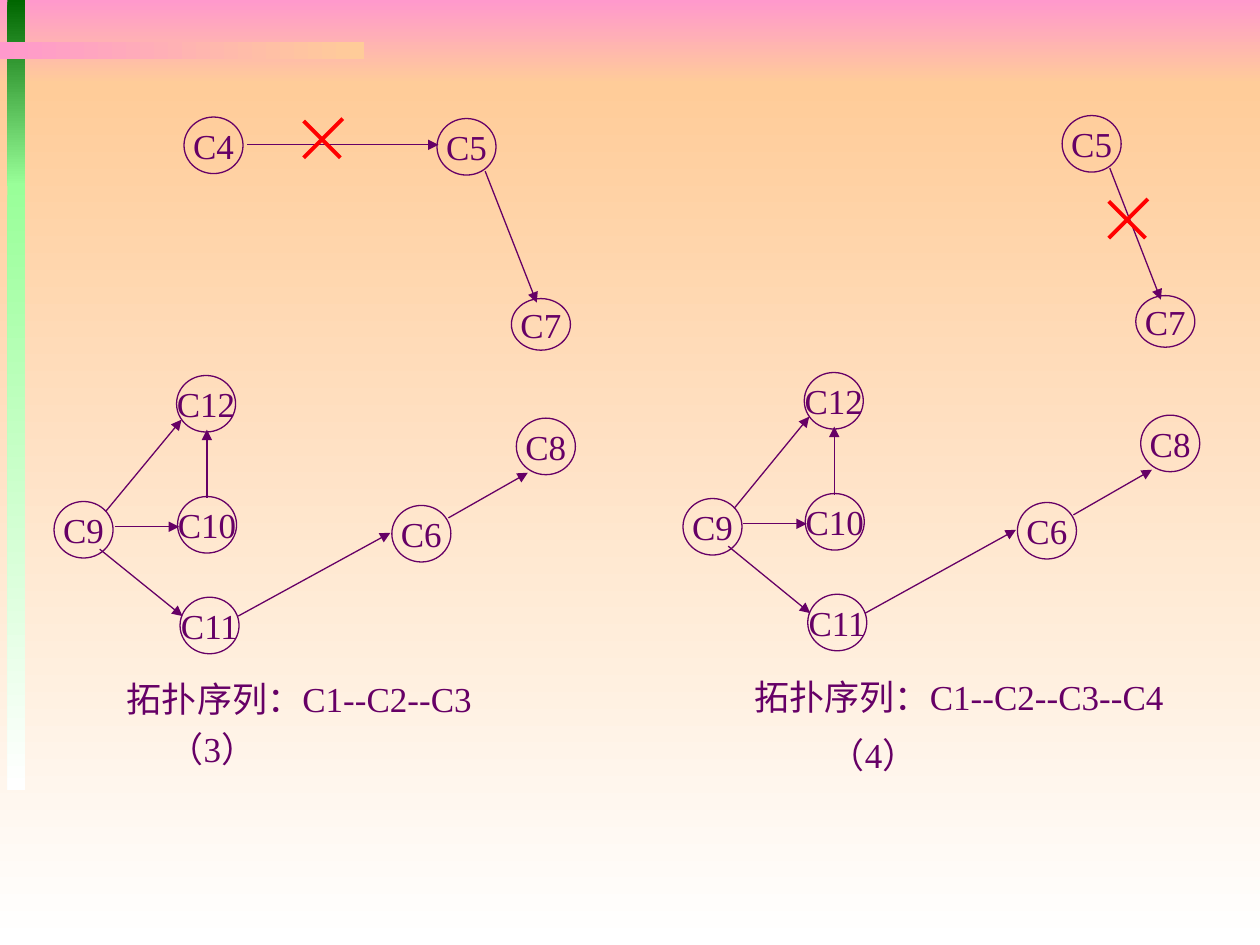
from pptx import Presentation
from pptx.dml.color import RGBColor
from pptx.enum.shapes import MSO_CONNECTOR, MSO_SHAPE
from pptx.enum.text import MSO_ANCHOR, MSO_AUTO_SIZE, PP_ALIGN
from pptx.oxml.xmlchemy import OxmlElement
from pptx.util import Cm, Pt

INK, RED = "660066", "FF0000"
PINK, PEACH, WHITE = "FF99CC", "FFCC99", "FFFFFF"
GREEN, LIME = "006600", "99FF99"

# Nodes: left, top in cm, on the left half
NODES = {
    "C4": (3.71, 2.36), "C5": (8.81, 2.39), "C6": (7.9, 10.19),
    "C7": (10.31, 6.02), "C8": (10.41, 8.43), "C9": (1.09, 10.11),
    "C10": (3.58, 10.01), "C11": (3.63, 12.04), "C12": (3.56, 7.57),
}
# Arrows: start and end points in cm, on the left half
EDGES = {
    ("C4", "C5"): (4.98, 2.92, 8.84, 2.92),
    ("C5", "C7"): (9.78, 3.45, 10.82, 6.1),
    ("C9", "C12"): (2.13, 10.31, 3.66, 8.46),
    ("C9", "C10"): (2.31, 10.62, 3.61, 10.62),
    ("C10", "C12"): (4.17, 10.03, 4.17, 8.66),
    ("C9", "C11"): (2.01, 11.07, 3.68, 12.42),
    ("C11", "C6"): (4.8, 12.42, 7.87, 10.74),
    ("C6", "C8"): (9.04, 10.44, 10.64, 9.53),
}


def color(code):
    return RGBColor.from_string(code)


class Board:
    font, size = "Times New Roman", Pt(20)

    def __init__(self, slide):
        self.slide = slide

    def add_text(self, frame, text):
        frame.word_wrap = False
        run = frame.paragraphs[0].add_run()
        run.text = text
        run.font.name, run.font.size = self.font, self.size
        run.font.color.rgb = color(INK)

    def band(self, x, y, w, h, first, last, angle=270):
        shape = self.slide.shapes.add_shape(
            MSO_SHAPE.RECTANGLE, Cm(x), Cm(y), Cm(w), Cm(h))
        shape.shadow.inherit = False
        shape.line.fill.background()
        shape.fill.gradient()
        shape.fill.gradient_angle = angle
        for stop, code in zip(shape.fill.gradient_stops, (first, last)):
            stop.color.rgb = color(code)

    def node(self, x, y, name):
        high = 1.04 if name == "C7" else 1.14
        shape = self.slide.shapes.add_shape(
            MSO_SHAPE.OVAL, Cm(x), Cm(y), Cm(1.19), Cm(high))
        shape.shadow.inherit = False
        shape.fill.background()
        shape.line.color.rgb = color(INK)
        shape.line.width = Pt(0.75)
        frame = shape.text_frame
        frame.vertical_anchor = MSO_ANCHOR.MIDDLE
        frame.paragraphs[0].alignment = PP_ALIGN.CENTER
        self.add_text(frame, name)

    def line(self, start, end, code=INK, width=0.75, arrow=True):
        link = self.slide.shapes.add_connector(
            MSO_CONNECTOR.STRAIGHT, *map(Cm, (*start, *end)))
        link.line.color.rgb = color(code)
        link.line.width = Pt(width)
        if arrow:
            tip = OxmlElement("a:tailEnd")
            tip.set("type", "triangle")
            link.line._get_or_add_ln().append(tip)
        link._element.spPr.append(OxmlElement("a:effectLst"))

    def cross(self, x, y):
        for start, end in (((x, y + 0.05), (x + 0.74, y + 0.79)),
                           ((x + 0.79, y), (x, y + 0.79))):
            self.line(start, end, RED, 2.25, arrow=False)

    def label(self, x, y, w, text):
        box = self.slide.shapes.add_textbox(Cm(x), Cm(y), Cm(w), Cm(1.12))
        box.text_frame.auto_size = MSO_AUTO_SIZE.SHAPE_TO_FIT_TEXT
        self.add_text(box.text_frame, text)

    def graph(self, place, gone=()):
        for name, spot in NODES.items():
            if name not in gone:
                self.node(*place(*spot), name)
        for (tail, head), (x1, y1, x2, y2) in EDGES.items():
            if tail not in gone and head not in gone:
                self.line(place(x1, y1), place(x2, y2))


def left(x, y):
    return x, y


def right(x, y):
    # The right half is slightly narrower and higher
    return 12.69 + 0.99 * x, y - 0.06


def main():
    deck = Presentation()
    deck.slide_width, deck.slide_height = Cm(25.4), Cm(19.05)
    board = Board(deck.slides.add_slide(deck.slide_layouts[6]))

    # Backdrop
    board.band(0, 0, 25.4, 1.7, PINK, PEACH)
    board.band(0, 1.7, 25.4, 17.35, PEACH, WHITE)
    board.band(0.15, 0, 0.36, 3.75, GREEN, LIME)
    board.band(0.15, 3.7, 0.36, 12.22, LIME, WHITE)
    board.band(0, 0.84, 7.34, 0.35, PINK, PEACH, 0)

    # Step 3
    board.graph(left)
    board.cross(6.12, 2.39)
    board.label(2.31, 13.54, 7.62, "拓扑序列：C1--C2--C3")
    board.label(3.15, 14.55, 2.62, "（3）")

    # Step 4
    board.graph(right, gone=("C4",))
    board.cross(22.35, 4.01)
    board.label(14.96, 13.49, 8.92, "拓扑序列：C1--C2--C3--C4")
    board.label(16.48, 14.66, 2.62, "（4）")

    deck.save("out.pptx")


if __name__ == "__main__":
    main()
